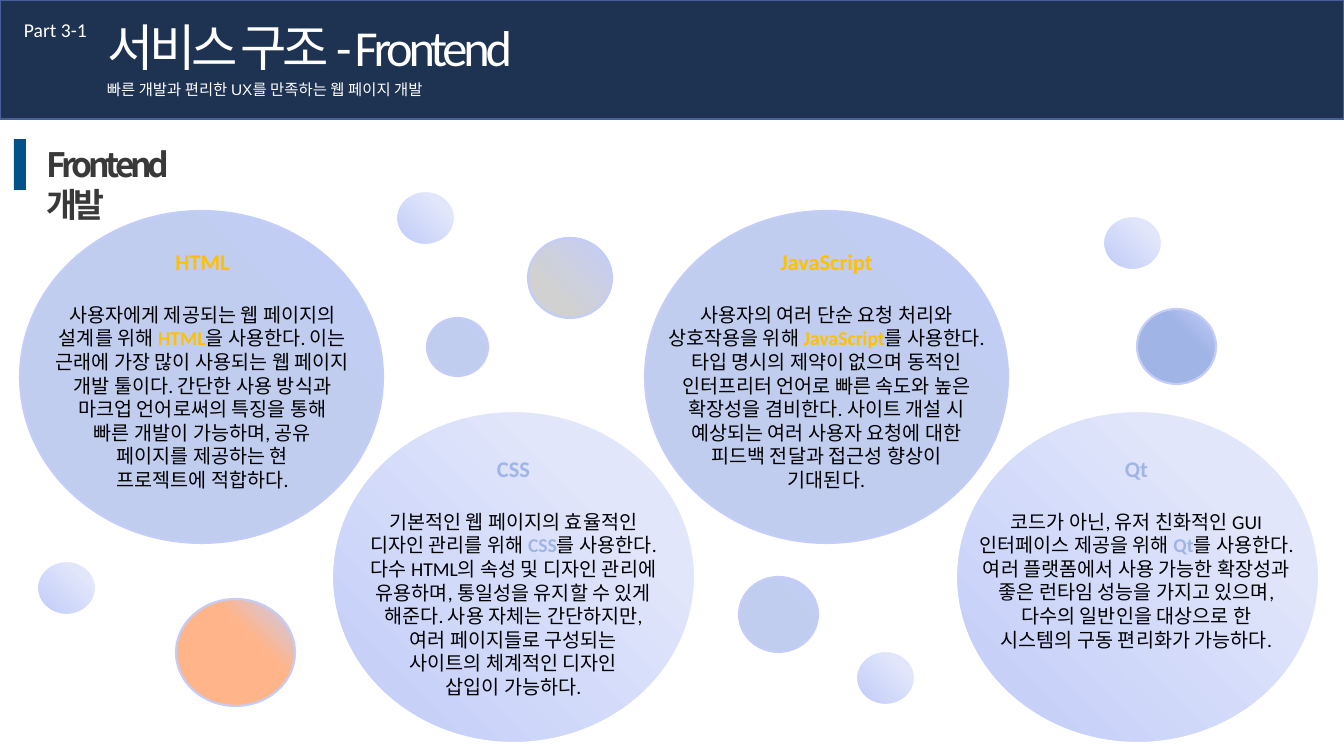
from pptx import Presentation
from pptx.dml.color import RGBColor
from pptx.enum.shapes import MSO_SHAPE
from pptx.enum.text import MSO_ANCHOR, MSO_AUTO_SIZE, PP_ALIGN
from pptx.oxml.ns import qn
from pptx.util import Pt
from lxml.etree import SubElement

PX = 914400 / 100.8
HEX = {
    "navy": "1E3252", "edge": "48609E", "white": "FFFFFF", "black": "000000",
    "gray": "393939", "bar": "005289", "gold": "FFC000", "blue": "A0B4E6",
    "sky": "C0CDEF", "rim": "C3CDF8", "pale": "E1E6FB", "mauve": "A6A7D8",
    "peach": "FFB589", "ash": "D1D1D1",
}
GRADS = {
    "sky": [(64, "sky"), (100, "rim"), (100, "pale")],
    "pale": [(0, "mauve"), (6, "rim"), (75, "pale")],
    "peach": [(64, "peach"), (100, "rim"), (100, "pale")],
    "ash": [(29, "ash"), (100, "rim"), (100, "pale")],
    "blue": [(64, "blue"), (100, "rim"), (100, "pale")],
}


def draw(kind, box, line=None):
    shape = slide.shapes.add_shape(kind, *[round(n * PX) for n in box])
    shape.shadow.inherit = False
    if line:
        shape.line.color.rgb = RGBColor.from_string(HEX[line])
        shape.line.width = Pt(1.5)
    else:
        shape.line.fill.background()
    return shape


def write(para, text, size, font, color, bold=False):
    run = para.add_run()
    run.text = text
    run.font.size = Pt(size)
    run.font.name = font
    run.font.bold = bold
    run.font.color.rgb = RGBColor.from_string(HEX[color])
    return run


deck = Presentation()
deck.slide_width = round(1344 * PX)
deck.slide_height = round(756 * PX)
slide = deck.slides.add_slide(deck.slide_layouts[5])
title = slide.shapes.title

rects = [((0, 0, 1344, 119), "navy", "edge"), ((14, 139, 12, 51), "bar", None)]
for box, color, line in rects:
    rect = draw(MSO_SHAPE.RECTANGLE, box, line)
    rect.fill.solid()
    rect.fill.fore_color.rgb = RGBColor.from_string(HEX[color])
    title._element.addprevious(rect._element)

labels = [
    (title, (97, 11, 498, 72), "서비스 구조 - Frontend", 36, "Calibri", "white", False, -300),
    (None, (14, 13, 99, 34), "Part 3-1", 14, "Calibri", "white", False, 0),
    (None, (97, 75, 373, 29), "빠른 개발과 편리한 UX를 만족하는 웹 페이지 개발", 11, "Arial", "white", False, 0),
    (None, (37, 139, 192, 49), "Frontend 개발", 24, "Noto Sans CJK KR", "gray", True, -300),
]
for item, box, text, size, font, color, bold, space in labels:
    left, top, width, height = [round(n * PX) for n in box]
    item = item or slide.shapes.add_textbox(left, top, width, height)
    item.left, item.top, item.width, item.height = left, top, width, height
    frame = item.text_frame
    frame.word_wrap = True
    frame.auto_size = MSO_AUTO_SIZE.NONE
    frame.vertical_anchor = MSO_ANCHOR.TOP
    para = frame.paragraphs[0]
    para.alignment = PP_ALIGN.LEFT
    run = write(para, text, size, font, color, bold)
    if space:
        run.font._element.set("spc", str(space))

big = (363, 332)
small = (59, 54)
circles = [
    ((20, 211), big, "sky"), ((332, 411), big, "pale"),
    ((645, 211), big, "sky"), ((956, 411), big, "pale"),
    ((739, 577), (79, 75), "sky"), ((427, 318), (61, 58), "sky"),
    ((176, 599), (119, 107), "peach"), ((37, 561), small, "pale"),
    ((856, 651), small, "pale"), ((1103, 216), small, "pale"),
    ((528, 238), (84, 80), "ash"), ((396, 191), small, "pale"),
    ((1137, 309), (79, 75), "blue"),
]
for spot, size, tone in circles:
    oval = draw(MSO_SHAPE.OVAL, spot + size, "white" if tone == "pale" else "rim")
    oval.fill.gradient()
    oval.fill.gradient_angle = 45
    stops = oval._element.spPr.find(qn("a:gradFill")).find(qn("a:gsLst"))
    for stop in list(stops):
        stops.remove(stop)
    for pos, color in GRADS[tone]:
        stop = SubElement(stops, qn("a:gs"), pos=str(pos * 1000))
        SubElement(stop, qn("a:srgbClr"), val=HEX[color])

topics = [
    ("HTML", (9, 243, 387, 254), "gold", [
        "사용자에게 제공되는 웹 페이지의", "설계를 위해 HTML을 사용한다. 이는",
        "근래에 가장 많이 사용되는 웹 페이지", "개발 툴이다. 간단한 사용 방식과",
        "마크업 언어로써의 특징을 통해", "빠른 개발이 가능하며, 공유",
        "페이지를 제공하는 현", "프로젝트에 적합하다."]),
    ("CSS", (320, 450, 387, 278), "blue", [
        "기본적인 웹 페이지의 효율적인", "디자인 관리를 위해 CSS를 사용한다.",
        "다수 HTML의 속성 및 디자인 관리에", "유용하며, 통일성을 유지할 수 있게",
        "해준다. 사용 자체는 간단하지만,", "여러 페이지들로 구성되는",
        "사이트의 체계적인 디자인", "삽입이 가능하다."]),
    ("JavaScript", (633, 243, 387, 254), "gold", [
        "사용자의 여러 단순 요청 처리와", "상호작용을 위해 JavaScript를 사용한다.",
        "타입 명시의 제약이 없으며 동적인", "인터프리터 언어로 빠른 속도와 높은",
        "확장성을 겸비한다. 사이트 개설 시", "예상되는 여러 사용자 요청에 대한",
        "피드백 전달과 접근성 향상이", "기대된다."]),
    ("Qt", (943, 450, 387, 207), "blue", [
        "코드가 아닌, 유저 친화적인 GUI", "인터페이스 제공을 위해 Qt를 사용한다.",
        "여러 플랫폼에서 사용 가능한 확장성과", "좋은 런타임 성능을 가지고 있으며,",
        "다수의 일반인을 대상으로 한", "시스템의 구동 편리화가 가능하다."]),
]
for name, box, color, lines in topics:
    frame = slide.shapes.add_textbox(*[round(n * PX) for n in box]).text_frame
    frame.word_wrap = True
    head = frame.paragraphs[0]
    head.alignment = PP_ALIGN.CENTER
    head.space_after = Pt(20)
    write(head, name, 16, "Calibri", color, True)
    for line in lines:
        para = frame.add_paragraph()
        para.alignment = PP_ALIGN.CENTER
        for part in line.partition(name):
            if part:
                key = part == name
                write(para, part, 14, "Calibri", color if key else "black", key)

deck.save("out.pptx")
